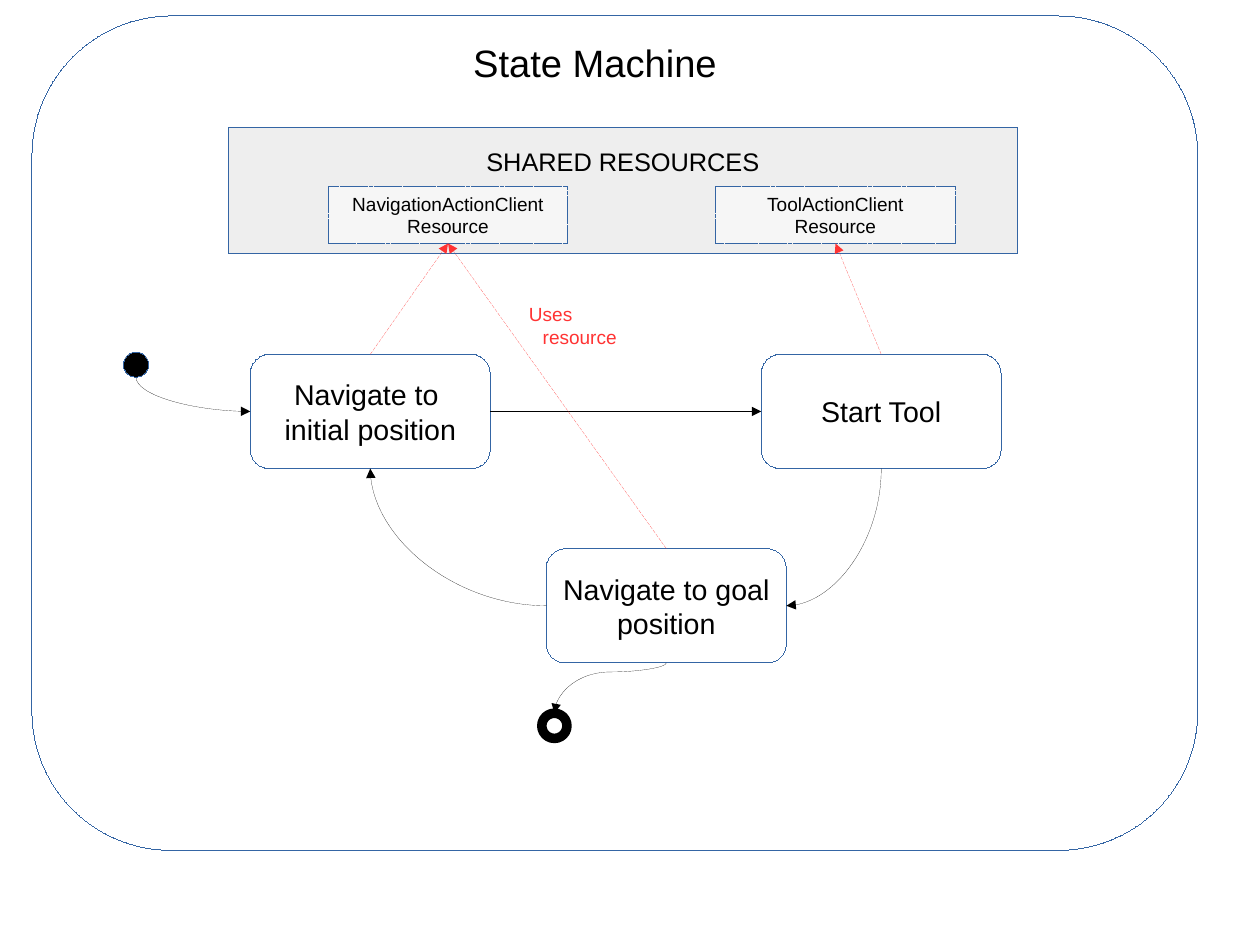
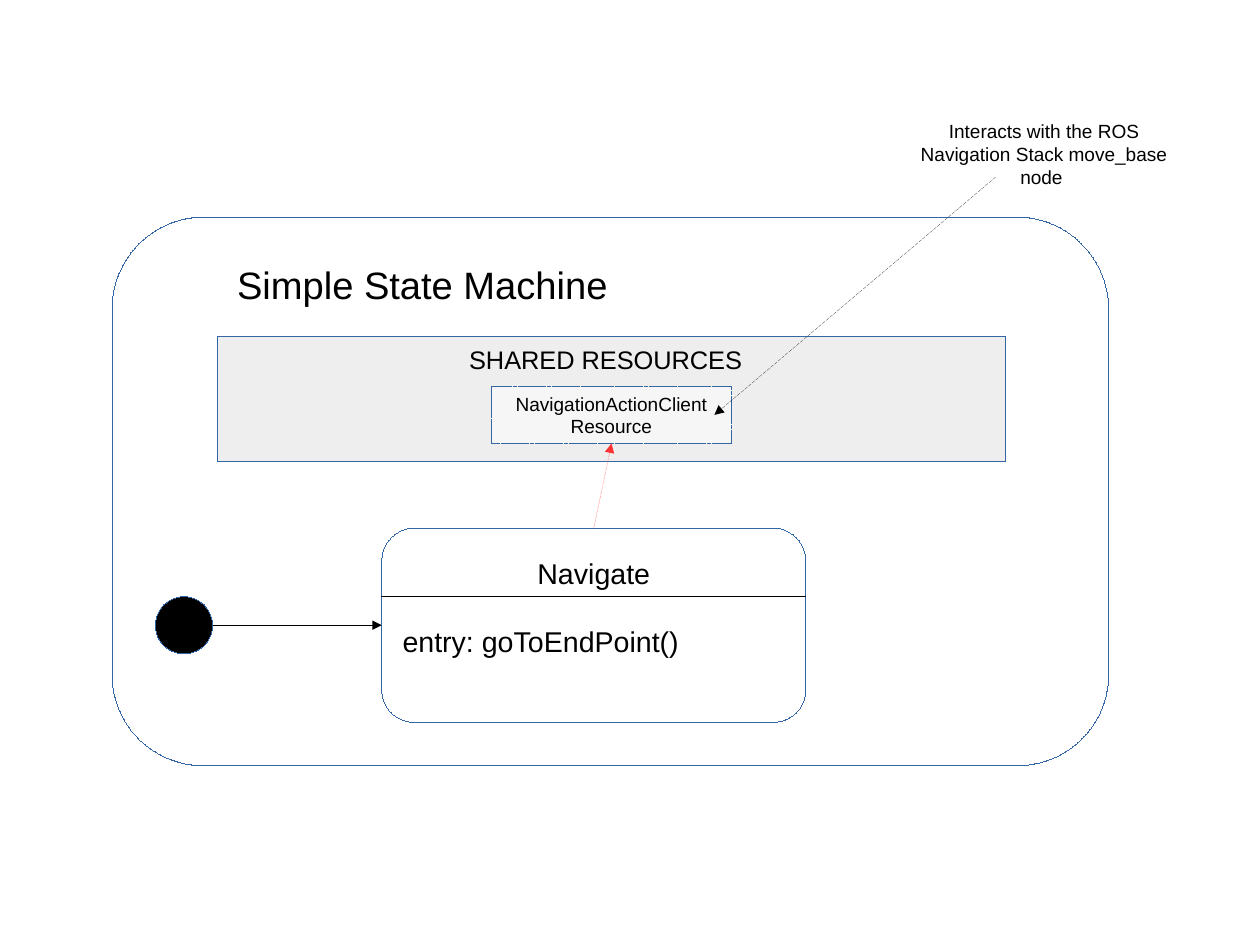
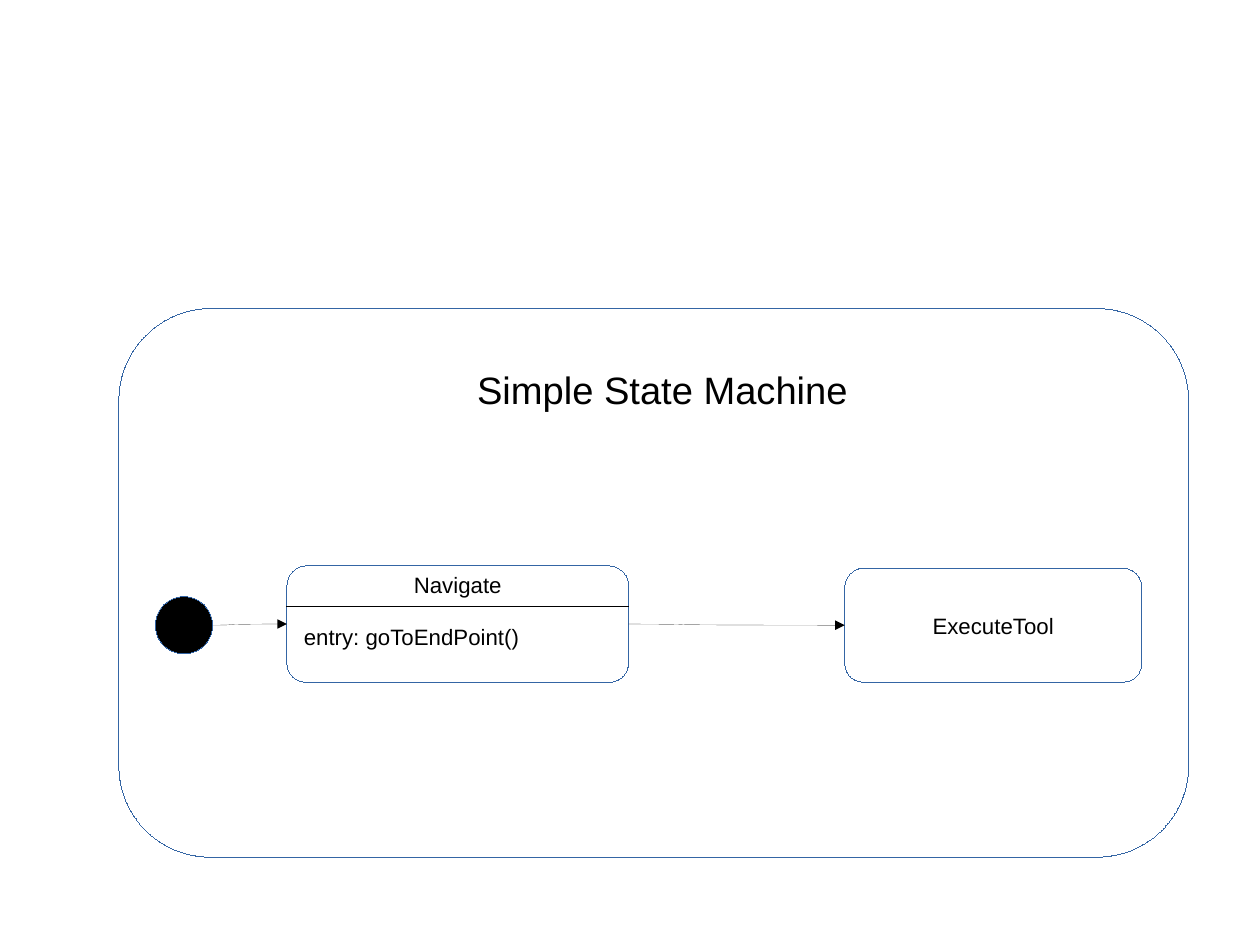
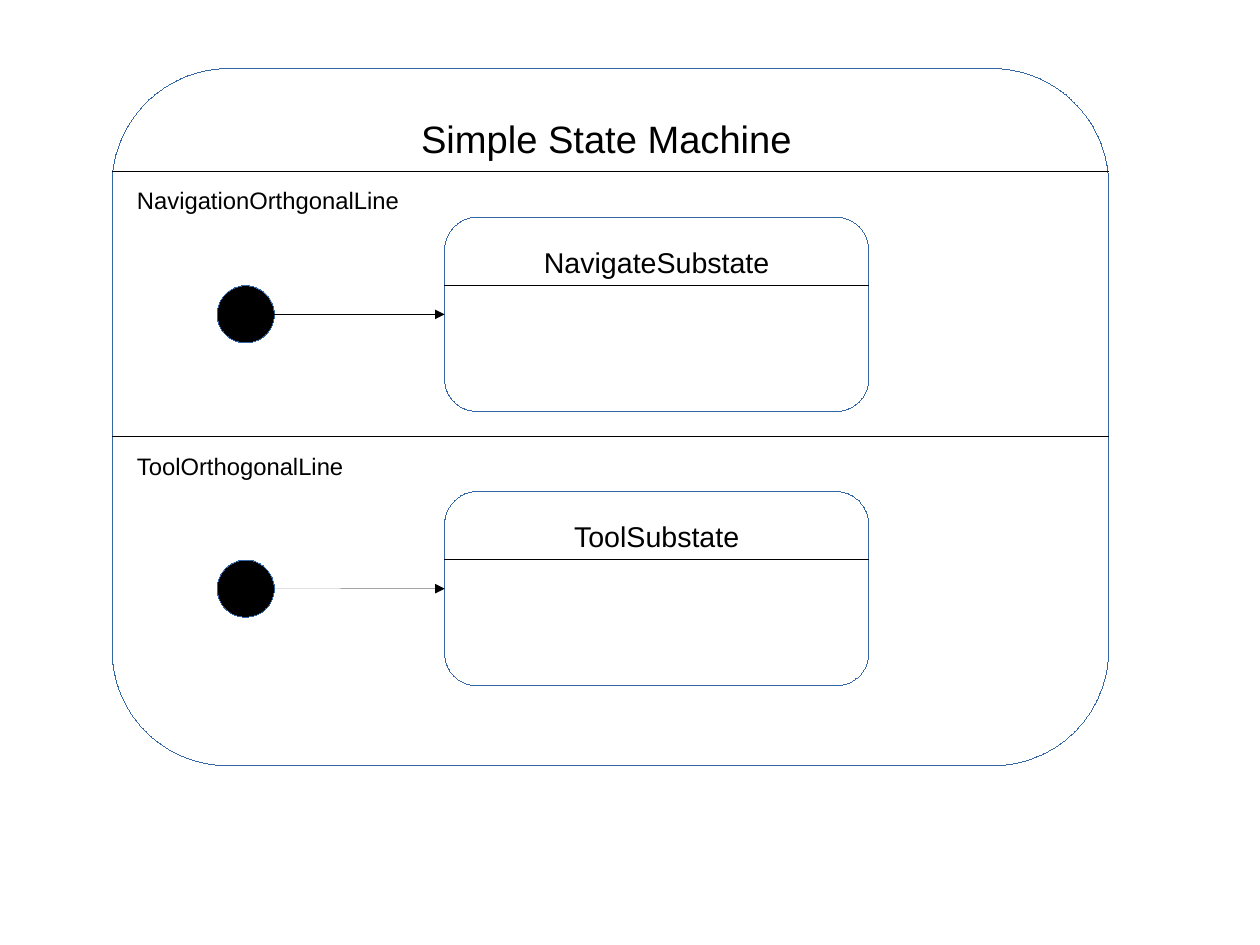
from dataclasses import dataclass

from lxml import etree
from pptx import Presentation
from pptx.dml.color import RGBColor
from pptx.enum.dml import MSO_LINE
from pptx.enum.shapes import MSO_CONNECTOR, MSO_SHAPE
from pptx.enum.text import MSO_ANCHOR, PP_ALIGN
from pptx.oxml.ns import qn
from pptx.util import Inches, Pt

RECT, ROUNDED, OVAL = MSO_SHAPE.RECTANGLE, MSO_SHAPE.ROUNDED_RECTANGLE, MSO_SHAPE.OVAL
STRAIGHT, CURVE = MSO_CONNECTOR.STRAIGHT, MSO_CONNECTOR.CURVE
DASH = MSO_LINE.SQUARE_DOT
LEFT, CENTER = PP_ALIGN.LEFT, PP_ALIGN.CENTER
TOP_ANCHOR, MIDDLE_ANCHOR = MSO_ANCHOR.TOP, MSO_ANCHOR.MIDDLE
TOP_SIDE, LEFT_SIDE, BOTTOM_SIDE, RIGHT_SIDE = range(4)
CM_PER_INCH = 2.54


@dataclass(frozen=True)
class Theme:
    font: str = "Arial"
    text: RGBColor = RGBColor(0x00, 0x00, 0x00)
    paper: RGBColor = RGBColor(0xFF, 0xFF, 0xFF)
    panel: RGBColor = RGBColor(0xEE, 0xEE, 0xEE)
    outline: RGBColor = RGBColor(0x34, 0x65, 0xA4)
    usage: RGBColor = RGBColor(0xFF, 0x33, 0x33)
    title_size: int = 24
    state_size: int = 18
    panel_size: int = 16
    region_size: int = 15
    small_state_size: int = 14
    note_size: int = 12
    hairline: int = 0
    ring: int = 6
    corner: float = 0.167
    corner_inset: float = 0.05  # text inset of a rounded box, as a share of its height
    line_height: float = 1.15
    header_share: float = 0.35
    header_lift: float = 0.03


THEME = Theme()


def write(paragraph, text, size, color=THEME.text, align=CENTER):
    paragraph.alignment = align
    for index, line in enumerate(text.split("\n")):
        if index:
            paragraph.add_line_break()
        run = paragraph.add_run()
        run.text = line
        run.font.name = THEME.font
        run.font.size = Pt(size)
        run.font.color.rgb = color


def drop_theme_style(shape):
    """Remove the style reference, whose line width would override a hairline."""
    style = shape.element.find(qn("p:style"))
    shape.element.remove(style)


def add_box(slide, kind, left, top, width, height, fill=THEME.paper,
            outline=THEME.outline, weight=THEME.hairline):
    box = slide.shapes.add_shape(kind, Inches(left), Inches(top), Inches(width), Inches(height))
    drop_theme_style(box)
    box.shadow.inherit = False
    box.fill.solid()
    box.fill.fore_color.rgb = fill
    box.line.color.rgb = outline
    box.line.width = Pt(weight)
    if kind == ROUNDED:
        box.adjustments[0] = THEME.corner
    return box


def prepare_frame(box, anchor, top=0.05, left=0.05, right=0.05):
    frame = box.text_frame
    frame.word_wrap = True
    frame.vertical_anchor = anchor
    frame.margin_top, frame.margin_left, frame.margin_right = Inches(top), Inches(left), Inches(right)
    return frame


def add_label(slide, text, left, top, width, height, size, color=THEME.text, align=CENTER):
    label = slide.shapes.add_textbox(Inches(left), Inches(top), Inches(width), Inches(height))
    frame = prepare_frame(label, TOP_ANCHOR, left=0.1, right=0.1)
    write(frame.paragraphs[0], text, size, color, align)
    return frame


def add_title(slide, text, left, top, width=3.79):
    add_label(slide, text, left, top, width, 0.5, THEME.title_size)


def add_machine(slide, left, top, width, height):
    add_box(slide, ROUNDED, left, top, width, height)


def add_state(slide, text, left, top, width=2.1, height=1, size=THEME.state_size):
    state = add_box(slide, ROUNDED, left, top, width, height)
    write(prepare_frame(state, MIDDLE_ANCHOR).paragraphs[0], text, size)
    return state


def add_detailed_state(slide, name, left, top, width=3.71, height=1.7,
                       size=THEME.state_size, entry=None):
    """State with a ruled header; its text sits on a grid of four centred lines."""
    state = add_box(slide, ROUNDED, left, top, width, height)
    line = size * THEME.line_height
    first_line = height / 2 - 2 * line / 72 - THEME.corner_inset * height - THEME.header_lift
    frame = prepare_frame(state, TOP_ANCHOR, max(first_line, 0), 0.1, 0.1)
    write(frame.paragraphs[0], name, size)
    if entry:
        action = frame.add_paragraph()
        action.space_before = Pt(round(line))
        write(action, entry, size, align=LEFT)
    header_bottom = top + THEME.header_share * height
    add_line(slide, (left, header_bottom), (left + width, header_bottom))
    return state


def add_start(slide, left, top, size=0.5):
    return add_box(slide, OVAL, left, top, size, size, fill=THEME.text)


def add_shared_panel(slide, left, top, heading_top, right=0.1):
    panel = add_box(slide, RECT, left, top, 6.9, 1.1, fill=THEME.panel)
    frame = prepare_frame(panel, TOP_ANCHOR, heading_top, 0.1, right)
    write(frame.paragraphs[0], "SHARED RESOURCES", THEME.panel_size)


def add_resource(slide, text, left, top):
    resource = add_box(slide, RECT, left, top, 2.1, 0.5)
    resource.line.dash_style = DASH
    fill_color = resource.element.spPr.find(qn("a:solidFill")).find(qn("a:srgbClr"))
    etree.SubElement(fill_color, qn("a:alpha"), val="50000")
    write(prepare_frame(resource, MIDDLE_ANCHOR).paragraphs[0], text, THEME.note_size)
    return resource


def style_connector(connector, color, arrow, dashed):
    drop_theme_style(connector)
    connector.line.color.rgb = color
    connector.line.width = Pt(THEME.hairline)
    if dashed:
        connector.line.dash_style = DASH
    if arrow:
        outline = connector.element.spPr.find(qn("a:ln"))
        etree.SubElement(outline, qn("a:tailEnd"), type="triangle")
    etree.SubElement(connector.element.spPr, qn("a:effectLst"))


def add_line(slide, start, end, arrow=False, dashed=False):
    points = [Inches(value) for value in (*start, *end)]
    style_connector(slide.shapes.add_connector(STRAIGHT, *points), THEME.text, arrow, dashed)


def join(slide, kind, source, source_side, target, target_side):
    """Glue a new connector to two shapes; an oval has eight sites, two per side."""
    connector = slide.shapes.add_connector(kind, 0, 0, 0, 0)
    connector.begin_connect(source, source_side)
    connector.end_connect(target, target_side)
    ends = (("a:stCxn", source, source_side), ("a:endCxn", target, target_side))
    for tag, shape, side in ends:
        if shape.auto_shape_type == OVAL:
            next(connector.element.iter(qn(tag))).set("idx", str(2 * side))
    return connector


def add_usage(slide, state, resource):
    usage = join(slide, STRAIGHT, state, TOP_SIDE, resource, BOTTOM_SIDE)
    style_connector(usage, THEME.usage, arrow=True, dashed=True)


def turn_to_vertical(connector):
    """Rotate a curve by a quarter so that it leaves its source vertically."""
    x1, y1 = connector.begin_x, connector.begin_y
    x2, y2 = connector.end_x, connector.end_y
    sign = 1 if x2 < x1 else -1
    middle_x, middle_y = (x1 + x2) // 2, (y1 + y2) // 2
    half_x, half_y = sign * (x2 - x1) // 2, sign * (y2 - y1) // 2
    connector.begin_x, connector.begin_y = middle_x - half_y, middle_y + half_x
    connector.end_x, connector.end_y = middle_x + half_y, middle_y - half_x
    turn = 90 if sign == 1 else 270
    connector.element.spPr.find(qn("a:xfrm")).set("rot", str(turn * 60000))


def add_transition(slide, source, target, source_side=RIGHT_SIDE, target_side=LEFT_SIDE, bend=0.25):
    transition = join(slide, CURVE, source, source_side, target, target_side)
    if source_side in (TOP_SIDE, BOTTOM_SIDE):
        turn_to_vertical(transition)
    geometry = transition.element.spPr.find(qn("a:prstGeom"))
    if (source_side + target_side) % 2:
        geometry.set("prst", "curvedConnector2")
    else:
        etree.SubElement(geometry.find(qn("a:avLst")), qn("a:gd"),
                         name="adj1", fmla=f"val {round(bend * 100000)}")
    style_connector(transition, THEME.text, arrow=True, dashed=False)


def build_shared_resources(slide):
    add_machine(slide, 0.28, 0.14, 10.2, 7.3)
    add_shared_panel(slide, 2, 1.12, 0.16)
    initial = add_state(slide, "Navigate to \ninitial position", 2.19, 3.1)
    tool = add_state(slide, "Start Tool", 6.66, 3.1)
    goal = add_state(slide, "Navigate to goal\nposition", 4.78, 4.8)
    start = add_start(slide, 1.08, 3.08, 0.22)
    final = add_box(slide, OVAL, 4.74, 6.24, 0.22, 0.22, outline=THEME.text, weight=THEME.ring)
    navigation_client = add_resource(slide, "NavigationActionClient\nResource", 2.87, 1.63)
    tool_client = add_resource(slide, "ToolActionClient\nResource", 6.26, 1.63)

    add_transition(slide, start, initial, BOTTOM_SIDE, LEFT_SIDE)
    add_transition(slide, initial, tool)
    add_transition(slide, tool, goal, BOTTOM_SIDE, RIGHT_SIDE)
    add_transition(slide, goal, initial, LEFT_SIDE, BOTTOM_SIDE)
    add_transition(slide, goal, final, BOTTOM_SIDE, TOP_SIDE, bend=0.18)
    for state, client in ((goal, navigation_client), (initial, navigation_client), (tool, tool_client)):
        add_usage(slide, state, client)

    legend = add_label(slide, "Uses", 4.53, 2.6, 1.1, 0.47, THEME.note_size, THEME.usage, LEFT)
    second_line = legend.add_paragraph()
    write(second_line, "resource", THEME.note_size, THEME.usage, LEFT)
    second_line._p.get_or_add_pPr().set("marL", str(Inches(0.12)))
    add_title(slide, "State Machine", 3.91, 0.3, 2.59)


def build_navigation_client(slide):
    add_machine(slide, 0.98, 1.9, 8.72, 4.8)
    navigate = add_detailed_state(slide, "Navigate", 3.34, 4.62, entry="entry: goToEndPoint()")
    start = add_start(slide, 1.36, 5.22)
    add_transition(slide, start, navigate)
    add_title(slide, "Simple State Machine", 1.8, 2.24)
    add_shared_panel(slide, 1.9, 2.94, 0.07, right=0.2)
    client = add_resource(slide, "NavigationActionClient\nResource", 4.3, 3.38)
    add_usage(slide, navigate, client)
    add_line(slide, (8.71, 1.55), (6.25, 3.63), arrow=True, dashed=True)
    add_label(slide, "Interacts with the ROS Navigation Stack move_base node ",
              7.8, 1, 2.67, 0.66, THEME.note_size)


def build_two_states(slide):
    add_machine(slide, 1.04, 2.7, 9.36, 4.8)
    navigate = add_detailed_state(slide, "Navigate", 2.51, 4.95, 2.99, 1.02,
                                  THEME.small_state_size, "entry: goToEndPoint()")
    start = add_start(slide, 1.36, 5.22)
    execute = add_state(slide, "ExecuteTool", 7.39, 4.97, 2.6, size=THEME.small_state_size)
    add_transition(slide, start, navigate)
    add_transition(slide, navigate, execute)
    add_title(slide, "Simple State Machine", 3.9, 3.16)


def build_orthogonal_lines(slide):
    left, width = 0.98, 8.72
    add_machine(slide, left, 0.6, width, 6.1)
    add_title(slide, "Simple State Machine", 3.41, 0.96)
    regions = (
        ("NavigationOrthgonalLine", "NavigateSubstate", 1.5, 1.9),
        ("ToolOrthogonalLine", "ToolSubstate", 3.82, 4.3),
    )
    for region, substate_name, region_top, state_top in regions:
        add_line(slide, (left, region_top), (left + width, region_top))
        add_label(slide, region, 1.1, region_top + 0.08, 3.1, 0.4, THEME.region_size, align=LEFT)
        substate = add_detailed_state(slide, substate_name, 3.89, state_top)
        start = add_start(slide, 1.9, state_top + 0.6)
        add_transition(slide, start, substate)


def main():
    deck = Presentation()
    deck.slide_width, deck.slide_height = Inches(28 / CM_PER_INCH), Inches(21 / CM_PER_INCH)
    blank = deck.slide_layouts[6]
    for build in (build_shared_resources, build_navigation_client,
                  build_two_states, build_orthogonal_lines):
        build(deck.slides.add_slide(blank))
    deck.save("out.pptx")


if __name__ == "__main__":
    main()
